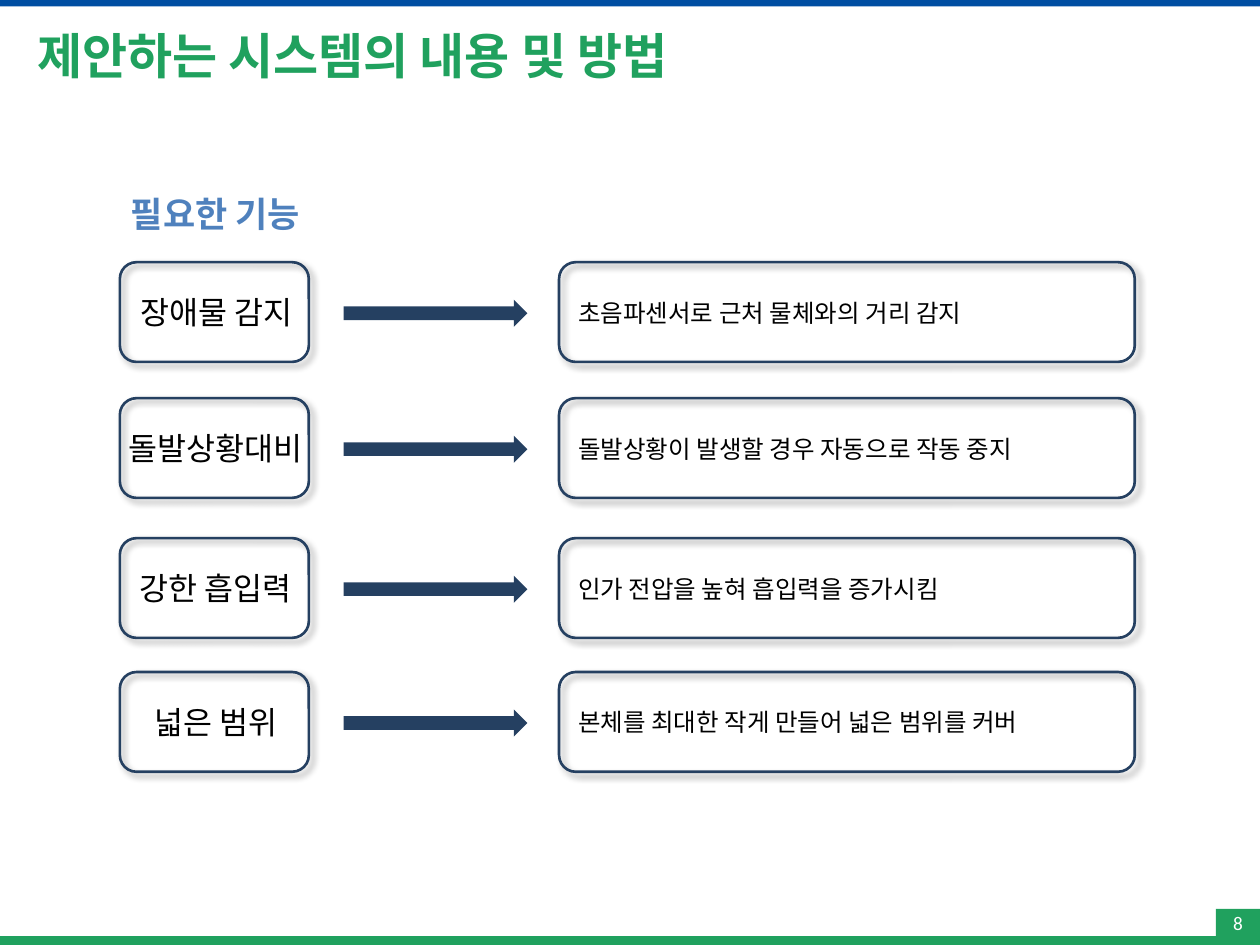
from dataclasses import dataclass

from lxml import etree
from pptx import Presentation
from pptx.dml.color import RGBColor
from pptx.enum.shapes import MSO_SHAPE
from pptx.enum.text import MSO_ANCHOR, PP_ALIGN
from pptx.oxml import parse_xml
from pptx.oxml.ns import nsdecls, qn
from pptx.util import Pt

RECT = MSO_SHAPE.RECTANGLE
ROUNDED = MSO_SHAPE.ROUNDED_RECTANGLE
ARROW = MSO_SHAPE.RIGHT_ARROW
MIDDLE = MSO_ANCHOR.MIDDLE
CENTER = PP_ALIGN.CENTER


@dataclass(frozen=True)
class Theme:
    green: str = "20A15E"
    blue: str = "004EA2"
    navy: str = "254061"
    accent: str = "4F81BD"
    black: str = "000000"
    white: str = "FFFFFF"
    latin: str = "Calibri"
    korean: str = "Noto Sans CJK KR"
    title: int = 28
    heading: int = 20
    label: int = 18
    detail: int = 14
    number: int = 11


theme = Theme()
SHADOW = f"""<a:effectLst {nsdecls("a")}>
  <a:outerShdw blurRad="50800" dist="38100" dir="2700000" algn="tl" rotWithShape="0">
    <a:srgbClr val="{theme.black}"><a:alpha val="40000"/></a:srgbClr>
  </a:outerShdw>
</a:effectLst>"""

deck = Presentation()
deck.slide_width, deck.slide_height = Pt(720), Pt(540)
page = deck.slides.add_slide(deck.slide_layouts[6])


def add_block(kind, left, top, width, height, fill=None):
    """Add a filled shape without line, or an outlined card with a shadow."""
    block = page.shapes.add_shape(kind, Pt(left), Pt(top), Pt(width), Pt(height))
    if fill:
        block.shadow.inherit = False
        block.fill.solid()
        block.fill.fore_color.rgb = RGBColor.from_string(fill)
        block.line.fill.background()
    else:
        block.fill.background()
        block.line.color.rgb = RGBColor.from_string(theme.navy)
        block.line.width = Pt(1.5)
        block._element.spPr.append(parse_xml(SHADOW))
    return block


def write(box, text, size, color, font=theme.korean, bold=False, **frame_format):
    frame = box.text_frame
    for name, value in {"word_wrap": True, **frame_format}.items():
        setattr(frame, name, value)
    span = frame.paragraphs[0].add_run()
    span.text = text
    for name, value in {"name": font, "size": Pt(size), "bold": bold}.items():
        setattr(span.font, name, value)
    span.font.color.rgb = RGBColor.from_string(color)
    east_asian = etree.SubElement(span._r.get_or_add_rPr(), qn("a:ea"))
    east_asian.set("typeface", theme.korean)


# Page frame, title and number
add_block(RECT, 0, 535, 720, 5, theme.green)
add_block(RECT, 0, 0, 720, 3.6, theme.blue)
title = page.shapes.add_textbox(Pt(14.4), Pt(14.4), Pt(692), Pt(48))
write(title, "제안하는 시스템의 내용 및 방법", theme.title, theme.green,
      font=theme.latin, bold=True, margin_top=0)
number = add_block(RECT, 694.8, 519.4, 25.2, 15.4, theme.green)
write(number, "8", theme.number, theme.white, font=theme.latin,
      vertical_anchor=MIDDLE, margin_left=0, margin_right=0,
      margin_top=0, margin_bottom=0)
number.text_frame.paragraphs[0].alignment = CENTER

heading = page.shapes.add_textbox(Pt(67.7), Pt(106.6), Pt(116), Pt(31.5))
write(heading, "필요한 기능", theme.heading, theme.accent, bold=True)

# One row per function: top, label, label left, label width, detail
rows = [
    (149.8, "장애물 감지", 73.4, 105, "초음파센서로 근처 물체와의 거리 감지"),
    (227.5, "돌발상황대비", 66.2, 119, "돌발상황이 발생할 경우 자동으로 작동 중지"),
    (307.5, "강한 흡입력", 72.7, 105, "인가 전압을 높혀 흡입력을 증가시킴"),
    (384, "넓은 범위", 81.4, 105, "본체를 최대한 작게 만들어 넓은 범위를 커버"),
]
for top, label, label_left, label_width, detail in rows:
    add_block(ROUNDED, 68.5, top, 108, 57)
    add_block(ARROW, 196.4, top + 21.4, 105, 15.6, theme.navy)
    add_block(ROUNDED, 319.5, top, 329, 57)
    label_box = page.shapes.add_textbox(
        Pt(label_left), Pt(top + 14.2), Pt(label_width), Pt(29))
    write(label_box, label, theme.label, theme.black)
    detail_box = page.shapes.add_textbox(
        Pt(323.3), Pt(top + 16.7), Pt(340), Pt(24.3))
    write(detail_box, detail, theme.detail, theme.black)

deck.save("out.pptx")
